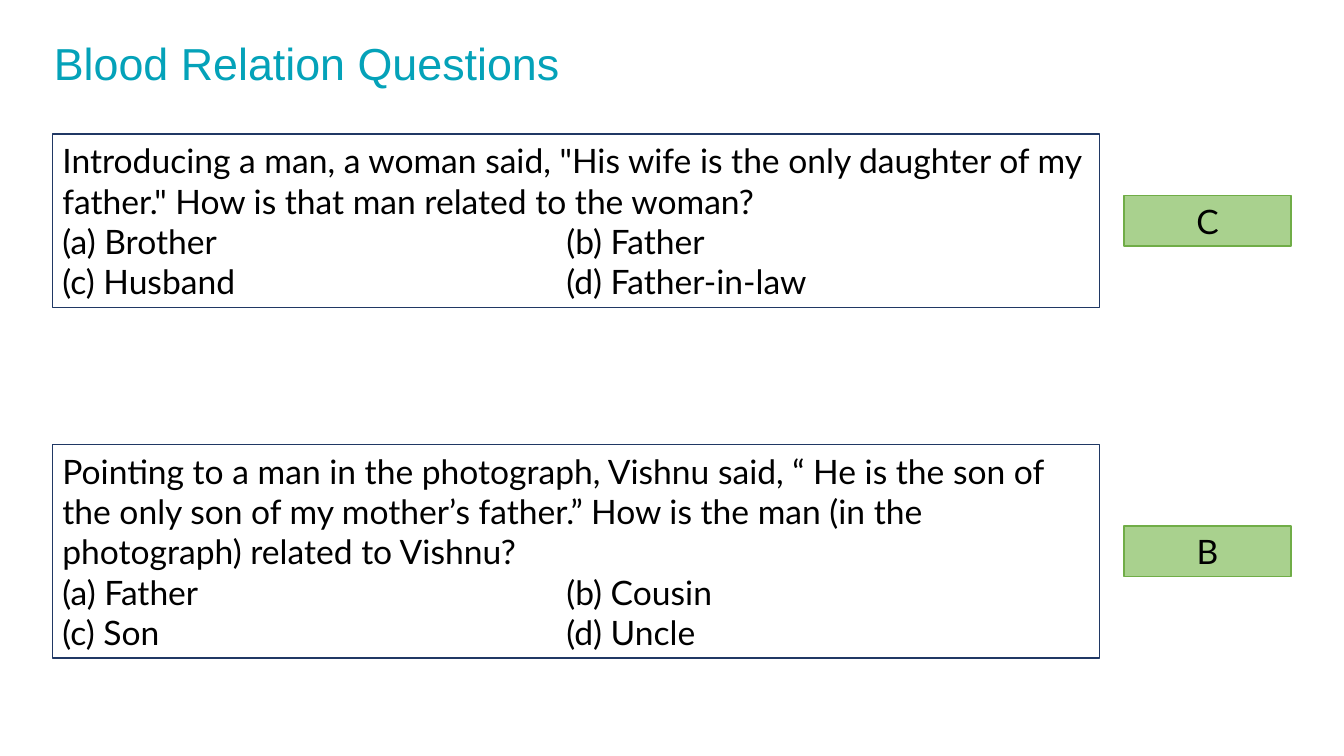
"""Build a slide with two blood relation questions and their answers."""
from lxml.etree import SubElement
from pptx import Presentation
from pptx.dml.color import RGBColor
from pptx.enum.shapes import MSO_SHAPE
from pptx.enum.text import MSO_ANCHOR, MSO_AUTO_SIZE, PP_ALIGN
from pptx.oxml.ns import qn
from pptx.util import Pt


def color(hex_string):
    return RGBColor.from_string(hex_string)


def add_box(left, top, width, height, fill, line, text, alignment):
    shape = slide.shapes.add_shape(MSO_SHAPE.RECTANGLE, Pt(left), Pt(top), Pt(width), Pt(height))
    shape.shadow.inherit = False
    shape.fill.solid()
    shape.fill.fore_color.rgb = color(fill)
    shape.line.color.rgb = color(line)
    shape.line.width = Pt(1)
    text_frame = shape.text_frame
    text_frame.word_wrap = True
    text_frame.auto_size = MSO_AUTO_SIZE.SHAPE_TO_FIT_TEXT
    text_frame.vertical_anchor = MSO_ANCHOR.MIDDLE
    text_frame.text = text
    for paragraph in text_frame.paragraphs:
        paragraph.alignment = alignment
        for run in paragraph.runs:
            run.font.name = "Lato"
            run.font.size = Pt(24)
            run.font.color.rgb = color("000000")
    return shape


presentation = Presentation()
presentation.slide_width = Pt(960)
presentation.slide_height = Pt(540)
slide = presentation.slides.add_slide(presentation.slide_layouts[6])

LEFT = 37.5
title = slide.shapes.add_textbox(Pt(LEFT), Pt(24.5), Pt(402.5), Pt(39.6))
title_frame = title.text_frame
title_frame.word_wrap = True
title_frame.vertical_anchor = MSO_ANCHOR.MIDDLE
title_frame.margin_left = Pt(1)
title_frame.margin_top = Pt(1)
title_frame.margin_right = title_frame.margin_bottom = Pt(0)
title_frame.text = "Blood Relation Questions"
title_font = title_frame.paragraphs[0].runs[0].font
title_font.name = "Arial"
title_font.size = Pt(32)
title_font.color.rgb = color("04A2B9")

ANSWER_HEIGHT = 36
questions = [
    (95.8, 123.8,
     'Introducing a man, a woman said, "His wife is the only daughter of my father." '
     "How is that man related to the woman?",
     ["Brother", "Father", "Husband", "Father-in-law"], "C"),
    (317.5, 152.6,
     "Pointing to a man in the photograph, Vishnu said, “ He is the son of the only son "
     "of my mother’s father.” How is the man (in the photograph) related to Vishnu?",
     ["Father", "Cousin", "Son", "Uncle"], "B"),
]
for top, height, question, (a, b, c, d), answer in questions:
    text = f"{question}\n(a) {a}\t(b) {b}\n(c) {c}\t(d) {d}"
    box = add_box(LEFT, top, 748, height, "FFFFFF", "203864", text, PP_ALIGN.LEFT)
    for paragraph in box.text_frame.paragraphs[1:]:
        tab_list = SubElement(paragraph._p.get_or_add_pPr(), qn("a:tabLst"))
        SubElement(tab_list, qn("a:tab"), pos=str(Pt(360)), algn="l")
    add_box(802.8, top + (height - ANSWER_HEIGHT) / 2, 119.5, ANSWER_HEIGHT,
            "A9D18E", "70AD47", answer, PP_ALIGN.CENTER)

presentation.save("out.pptx")
